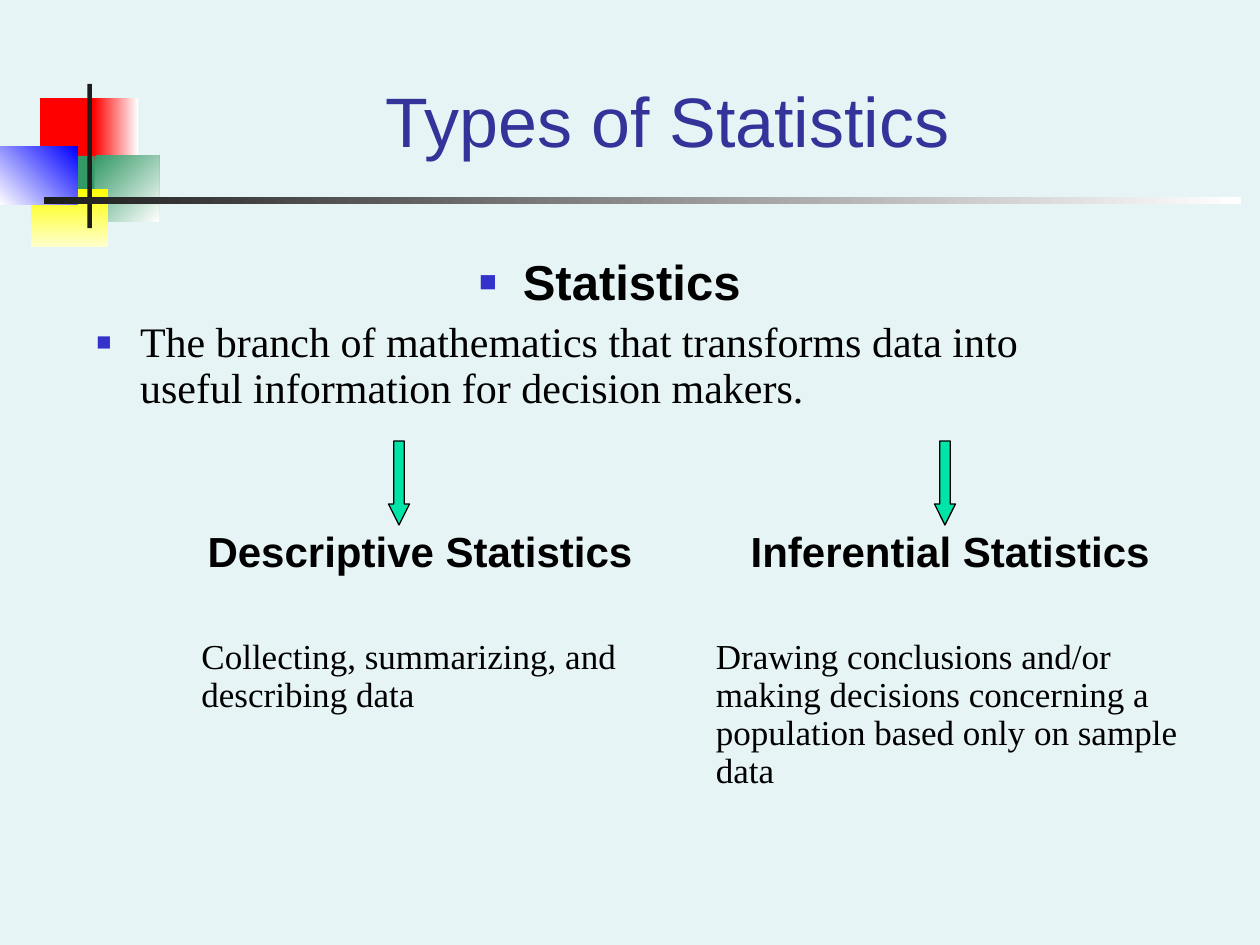
import pptx
import pptx.dml.color
import pptx.enum.shapes
import pptx.enum.text
import pptx.oxml
import pptx.oxml.ns
import pptx.util

Pt = pptx.util.Pt
SHAPE = pptx.enum.shapes.MSO_SHAPE
ALIGN = pptx.enum.text.PP_ALIGN

COLORS = {
    "background": "E7F4F5",
    "title": "333399",
    "bullet": "3333CC",
    "text": "000000",
    "arrow": "00E4A8",
    "red": "FF0000",
    "green": "339966",
    "yellow": "FFFF00",
    "cream": "FFFFCC",
    "blue": "0000FF",
    "dark": "1C1C1C",
    "white": "FFFFFF",
}
HEADING_FONT = "Arial"
BODY_FONT = "Times New Roman"


def rgb(name):
    return pptx.dml.color.RGBColor.from_string(COLORS[name])


def add_filled_shape(slide, kind, box, colors, angle=0):
    """Add a borderless shape with one solid colour, or a gradient of two at a clockwise angle."""
    shape = slide.shapes.add_shape(kind, *(Pt(length) for length in box))
    shape.shadow.inherit = False
    shape.line.fill.background()
    if len(colors) == 1:
        shape.fill.solid()
        shape.fill.fore_color.rgb = rgb(colors[0])
    else:
        shape.fill.gradient()
        shape.fill.gradient_angle = -angle % 360
        for stop, color, position in zip(shape.fill.gradient_stops, colors, (0, 1)):
            stop.color.rgb = rgb(color)
            stop.position = position
    return shape


def add_ornament(slide, left, top):
    """Overlapping colour blocks crossed by a vertical bar and a fading rule."""
    parts = [
        ((23, 8, 34.5, 37.5), ["red"], 0),
        ((53.5, 8, 25.5, 37.5), ["red", "white"], 0),
        ((54, 41, 37, 37.5), ["green", "white"], 45),
        ((31, 41, 23, 37.5), ["green"], 0),
        ((18, 60, 44, 33), ["yellow", "cream"], 90),
        ((0, 35.5, 44.5, 33.5), ["white", "blue"], 315),
        ((50, 0, 2.5, 82.5), ["dark"], 0),
        ((25, 64.5, 684, 4), ["dark", "white"], 0),
    ]
    for (x, y, width, height), colors, angle in parts:
        box = (left + x, top + y, width, height)
        add_filled_shape(slide, SHAPE.RECTANGLE, box, colors, angle)


def add_run(paragraph, text, size, font, color="text", bold=False):
    run = paragraph.add_run()
    run.text = text
    run.font.size = Pt(size)
    run.font.name = font
    run.font.bold = bold
    run.font.color.rgb = rgb(color)


def add_text_frame(slide, box):
    frame = slide.shapes.add_textbox(*(Pt(length) for length in box)).text_frame
    frame.word_wrap = True
    return frame


def format_paragraph(paragraph, align, space_before=0):
    paragraph.alignment = align
    paragraph.line_spacing = 0.9
    paragraph.space_before = Pt(space_before)


def add_bullet(paragraph):
    properties = paragraph._p.get_or_add_pPr()
    properties.set("marL", str(Pt(25)))
    properties.set("indent", str(-Pt(25)))
    namespace = pptx.oxml.ns.nsdecls("a")
    for element in (
        f'<a:buClr {namespace}><a:srgbClr val="{COLORS["bullet"]}"/></a:buClr>',
        f'<a:buSzPct {namespace} val="60000"/>',
        f'<a:buFont {namespace} typeface="{HEADING_FONT}"/>',
        f'<a:buChar {namespace} char="■"/>',
    ):
        properties.append(pptx.oxml.parse_xml(element))


def set_title(slide, text, box):
    title = slide.shapes.title
    title.left, title.top, title.width, title.height = (Pt(length) for length in box)
    frame = title.text_frame
    frame.auto_size = pptx.enum.text.MSO_AUTO_SIZE.NONE
    frame.vertical_anchor = pptx.enum.text.MSO_ANCHOR.BOTTOM
    frame.paragraphs[0].alignment = ALIGN.CENTER
    add_run(frame.paragraphs[0], text, 40, HEADING_FONT, "title")


def add_definition(slide, term, meaning, box):
    frame = add_text_frame(slide, box)
    heading = frame.paragraphs[0]
    format_paragraph(heading, ALIGN.CENTER)
    add_bullet(heading)
    add_run(heading, term, 28, HEADING_FONT, bold=True)
    body = frame.add_paragraph()
    format_paragraph(body, ALIGN.LEFT, 6)
    add_bullet(body)
    add_run(body, meaning, 24, BODY_FONT)


def add_branch(slide, name, meaning, box, arrow_offset):
    """A kind of statistics, with an arrow that ends at the top of its box."""
    left, top = box[:2]
    arrow_height = 48
    arrow_box = (left + arrow_offset, top - arrow_height, 12, arrow_height)
    arrow = add_filled_shape(slide, SHAPE.DOWN_ARROW, arrow_box, ["arrow"])
    arrow.adjustments[0] = 0.5
    arrow.adjustments[1] = 1
    arrow.line.color.rgb = rgb("text")
    arrow.line.width = Pt(0.75)

    frame = add_text_frame(slide, box)
    heading = frame.paragraphs[0]
    format_paragraph(heading, ALIGN.CENTER)
    add_run(heading, name, 24, HEADING_FONT, bold=True)
    body = frame.add_paragraph()
    format_paragraph(body, ALIGN.LEFT, 36)
    add_run(body, meaning, 20, BODY_FONT)


def main():
    presentation = pptx.Presentation()
    presentation.slide_width, presentation.slide_height = Pt(720), Pt(540)
    slide = presentation.slides.add_slide(presentation.slide_layouts[5])
    slide.background.fill.solid()
    slide.background.fill.fore_color.rgb = rgb("background")

    add_ornament(slide, 0, 48)
    set_title(slide, "Types of Statistics", (91, 18, 581, 78))
    add_definition(
        slide,
        "Statistics",
        "The branch of mathematics that transforms data into useful information "
        "for decision makers.",
        (48, 144, 601, 106),
    )
    add_branch(
        slide,
        "Descriptive Statistics",
        "Collecting, summarizing, and describing data",
        (108, 300, 264, 139),
        114,
    )
    add_branch(
        slide,
        "Inferential Statistics",
        "Drawing conclusions and/or making decisions concerning a population "
        "based only on sample data",
        (402, 300, 282, 156),
        132,
    )
    presentation.save("out.pptx")


if __name__ == "__main__":
    main()
